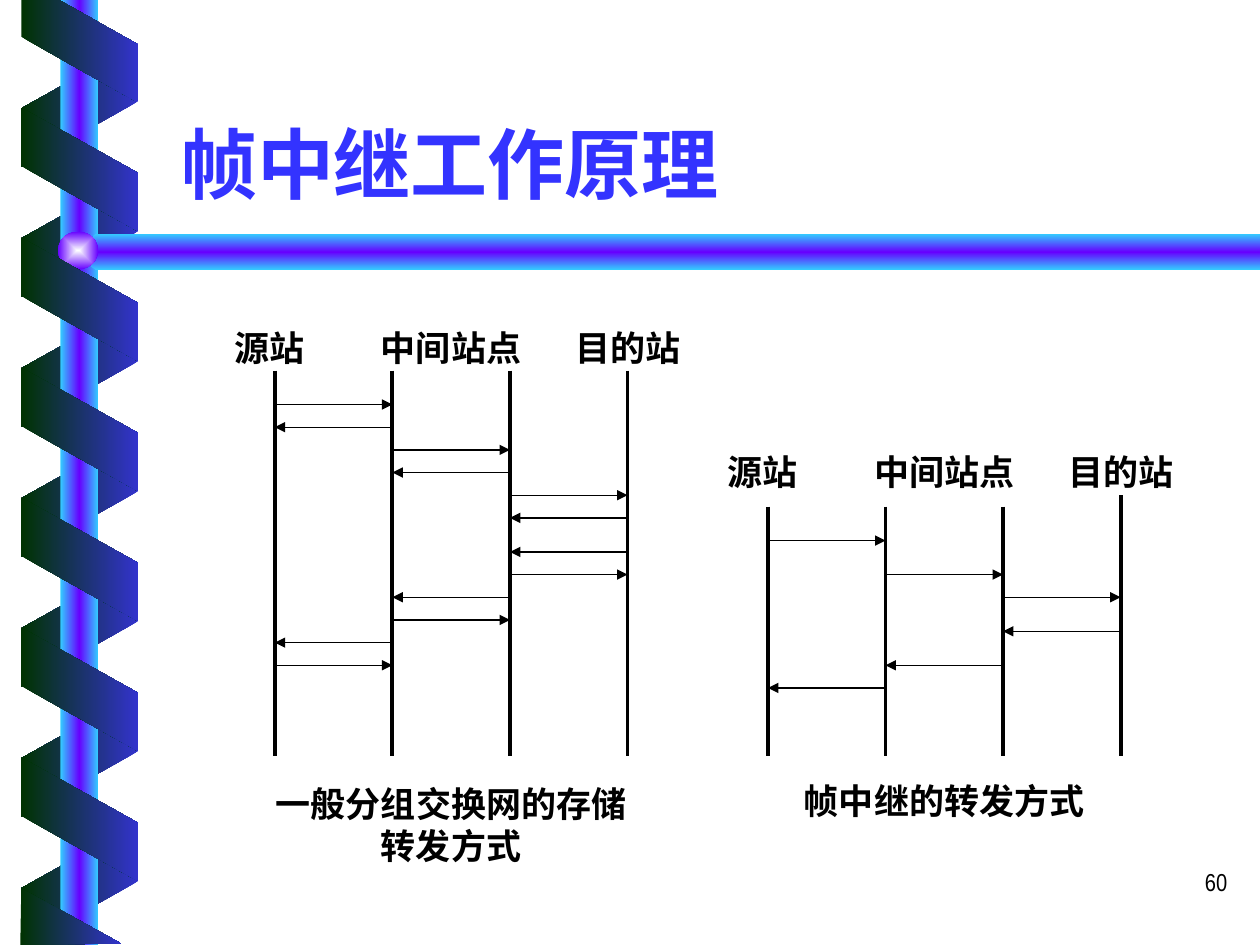
from lxml.etree import SubElement
from pptx import Presentation
from pptx.dml.color import RGBColor
from pptx.enum.shapes import MSO_CONNECTOR, MSO_SHAPE
from pptx.enum.text import MSO_ANCHOR, PP_ALIGN
from pptx.oxml import parse_xml
from pptx.oxml.ns import nsdecls, qn
from pptx.util import Cm, Pt

COLORS = {
    "black": "000000", "title": "3333FF", "green": "003300", "blue": "3333CC",
    "sky": "33CCFF", "violet": "6600FF", "glow": "FEFFFF",
}
FRONT = ("green", "blue")
BACK = ("blue", "green")
BAR = ("sky", "violet", "sky")

TITLE = "帧中继工作原理"
PAGE_NUMBER = "60"

# Station labels: text, offset from the first station line, width (cm)
LABELS = [("源站", -1.09, 1.96), ("中间站点", 1.93, 3.25), ("目的站", 5.82, 2.59)]

# Times are counted in ticks down the station lines; messages are (time, from, to)
LAST_TICK = 34
FIRST_TOP, LAST_BOTTOM = 7.47, 15.24
TICK = (LAST_BOTTOM - FIRST_TOP) / LAST_TICK
STATION_GAP = 2.37
DIAGRAMS = [
    {
        "left": 5.54, "label_top": 6.58, "starts": [0, 0, 0, 0],
        "messages": [
            (3, 0, 1), (5, 1, 0), (7, 1, 2), (9, 2, 1), (11, 2, 3), (13, 3, 2),
            (16, 3, 2), (18, 2, 3), (20, 2, 1), (22, 1, 2), (24, 1, 0), (26, 0, 1),
        ],
        "caption": ("一般分组交换网的存储转发方式", 15.77, 1.7),
    },
    {
        "left": 15.48, "label_top": 9.09, "starts": [12, 12, 12, 11],
        "messages": [
            (15, 0, 1), (18, 1, 2), (20, 2, 3), (23, 3, 2), (26, 2, 1), (28, 1, 0),
        ],
        "caption": ("帧中继的转发方式", 15.72, 0.84),
    },
]

# Spiral band pieces cut off by the slide edges, and the horizontal bar (cm)
TOP_PIECE = [(0.43, 0), (0.43, 0.74), (2.77, 2.06), (2.77, 0.89), (1.19, 0)]
BOTTOM_PIECE = [(2.44, 19.02), (0.43, 17.91), (0.41, 19.05)]
CROSS_BAR = [(25.4, 4.72), (1.93, 4.72), (1.52, 5.08), (1.93, 5.44), (25.4, 5.44)]


def color(name):
    return RGBColor.from_string(COLORS[name])


def paint(shape, names, direction):
    """Fill with evenly spaced gradient stops that stay put when the shape turns."""
    shape.shadow.inherit = False
    shape.line.fill.background()
    shape.fill.solid()
    stops = "".join(
        f'<a:gs pos="{100000 * index // (len(names) - 1)}">'
        f'<a:srgbClr val="{COLORS[name]}"/></a:gs>'
        for index, name in enumerate(names)
    )
    gradient = parse_xml(
        f'<a:gradFill rotWithShape="0" {nsdecls("a")}>'
        f"<a:gsLst>{stops}</a:gsLst>{direction}</a:gradFill>"
    )
    properties = shape._element.spPr
    properties.replace(properties.find(qn("a:solidFill")), gradient)


def linear(degrees):
    return f'<a:lin ang="{degrees * 60000}" scaled="1"/>'


def add_band(page, top, names, rotation, flipped):
    band = page.shapes.add_shape(
        MSO_SHAPE.PARALLELOGRAM, Cm(0.36), Cm(top), Cm(2.49), Cm(2.35)
    )
    band.adjustments[0] = 0.56
    band.rotation = rotation
    if flipped:
        band._element.spPr.find(qn("a:xfrm")).set("flipH", "1")
    paint(band, names, linear(0))


def add_outline(page, points, names, degrees):
    corners = [(Cm(x), Cm(y)) for x, y in points]
    builder = page.shapes.build_freeform(*corners[0])
    builder.add_line_segments(corners[1:], close=True)
    paint(builder.convert_to_shape(), names, linear(degrees))


def add_decoration(page):
    for index in range(7):
        add_band(page, 0.94 + 2.62 * index, BACK, 90, True)
    pole = page.shapes.add_shape(MSO_SHAPE.RECTANGLE, Cm(1.22), 0, Cm(0.76), Cm(19.05))
    paint(pole, BAR, linear(0))
    add_outline(page, CROSS_BAR, BAR, 90)
    ball = page.shapes.add_shape(MSO_SHAPE.OVAL, Cm(1.17), Cm(4.67), Cm(0.81), Cm(0.76))
    paint(
        ball, ("glow", "violet"),
        '<a:path path="rect"><a:fillToRect l="50000" t="50000" r="50000" b="50000"/></a:path>',
    )
    for index in range(6):
        add_band(page, 2.24 + 2.62 * index, FRONT, 270, False)
    add_outline(page, TOP_PIECE, FRONT, 0)
    add_outline(page, BOTTOM_PIECE, FRONT, 0)


def add_text(page, text, left, top, width, height, size=20, font="Times New Roman",
             bold=True, tint="black", align=PP_ALIGN.CENTER,
             anchor=MSO_ANCHOR.MIDDLE, insets=(0, 0)):
    box = page.shapes.add_textbox(Cm(left), Cm(top), Cm(width), Cm(height))
    frame = box.text_frame
    frame.word_wrap = True
    frame.vertical_anchor = anchor
    frame.margin_left = frame.margin_right = Cm(insets[0])
    frame.margin_top = frame.margin_bottom = Cm(insets[1])
    frame.text = text
    para = frame.paragraphs[0]
    para.alignment = align
    span = para.runs[0]
    span.font.size = Pt(size)
    span.font.name = font
    span.font.bold = bold
    span.font.color.rgb = color(tint)
    east_asian = "Noto Sans CJK SC"
    SubElement(span.font._element, qn("a:ea")).set("typeface", east_asian)


def add_line(page, x1, y1, x2, y2, weight, arrow=False):
    line = page.shapes.add_connector(
        MSO_CONNECTOR.STRAIGHT, Cm(x1), Cm(y1), Cm(x2), Cm(y2)
    )
    line.line.color.rgb = color("black")
    line.line.width = Pt(weight)
    if arrow:
        SubElement(line.line._get_or_add_ln(), qn("a:tailEnd")).set("type", "triangle")
    SubElement(line._element.spPr, qn("a:effectLst"))


def add_diagram(page, diagram):
    left = diagram["left"]
    stations = [left + STATION_GAP * index for index in range(4)]
    for x, start in zip(stations, diagram["starts"]):
        add_line(page, x, FIRST_TOP + start * TICK, x, LAST_BOTTOM, 2.25)
    for time, source, target in diagram["messages"]:
        y = FIRST_TOP + time * TICK
        add_line(page, stations[source], y, stations[target], y, 0.75, arrow=True)
    for text, offset, width in LABELS:
        add_text(page, text, left + offset, diagram["label_top"], width, 0.84)
    caption, top, height = diagram["caption"]
    add_text(page, caption, left, top, 3 * STATION_GAP, height)


def main():
    deck = Presentation()
    deck.slide_width, deck.slide_height = Cm(25.4), Cm(19.05)
    page = deck.slides.add_slide(deck.slide_layouts[6])
    add_decoration(page)
    add_text(page, PAGE_NUMBER, 19.71, 17.35, 5.28, 1.27, 14, "Arial Narrow", False,
             align=PP_ALIGN.RIGHT, anchor=MSO_ANCHOR.TOP, insets=(0.25, 0.13))
    add_text(page, TITLE, 3.38, 1.17, 21.59, 3.18, 44, "Noto Sans CJK SC", tint="title",
             align=PP_ALIGN.LEFT, anchor=MSO_ANCHOR.BOTTOM, insets=(0.25, 0.13))
    for diagram in DIAGRAMS:
        add_diagram(page, diagram)
    deck.save("out.pptx")


if __name__ == "__main__":
    main()
